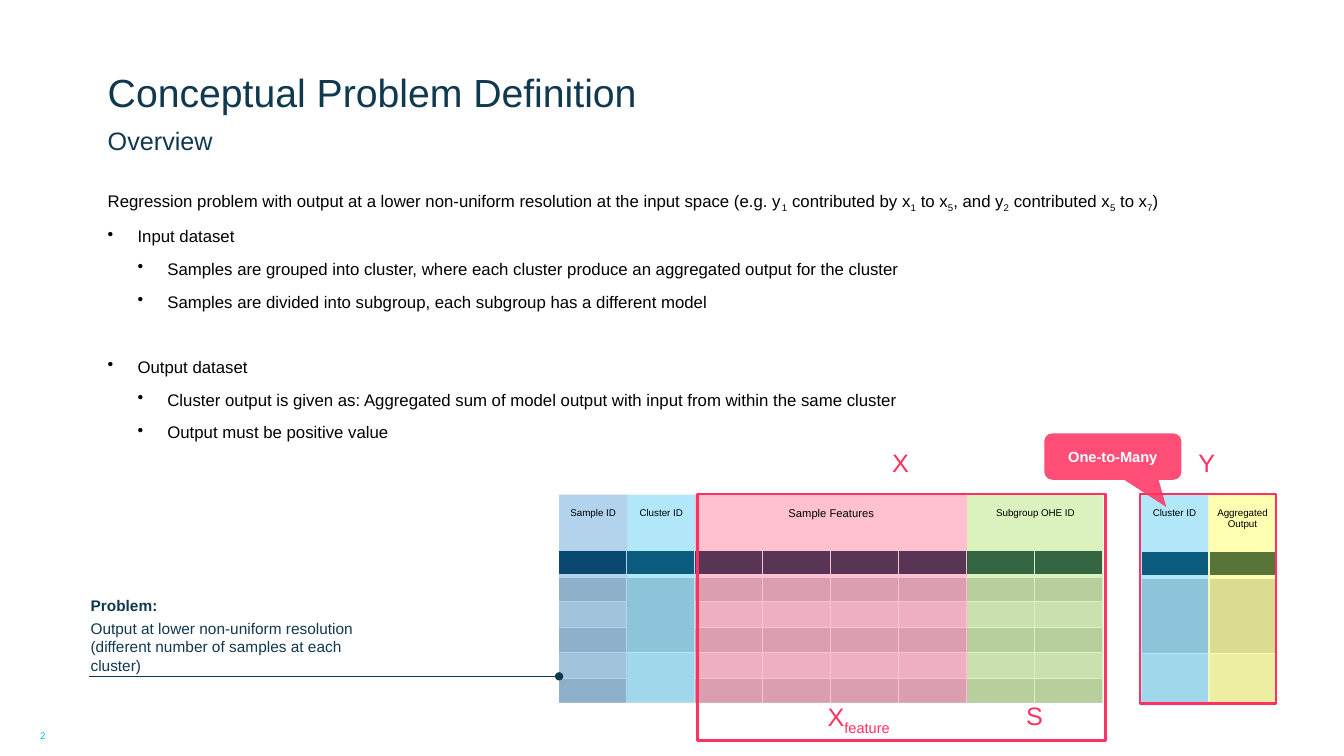
from dataclasses import dataclass

from lxml import etree
from pptx import Presentation
from pptx.dml.color import RGBColor
from pptx.enum import shapes, text
from pptx.oxml import ns
from pptx.util import Pt


@dataclass(frozen=True)
class Theme:
    font: str = "Arial"
    navy: str = "10384F"
    black: str = "000000"
    white: str = "FFFFFF"
    cyan: str = "00BCFF"
    pink: str = "FF3162"
    callout: str = "FE3061"
    blue: str = "0070C0"
    sky: str = "00B0F0"
    green: str = "89D329"
    yellow: str = "FFFF00"
    stripes: tuple = ("CCCED0", "E7E8E9")
    title: float = 28
    heading: float = 18
    body: float = 12
    note: float = 11
    badge: float = 10.5
    feature: float = 8
    small: float = 7


THEME = Theme()
COLUMN = 48.6
ROW = 18.24
BAND_TOP = 353.3
INPUT_LEFT = 399.4
OUTPUT_LEFT = 814.6

BODY = [  # level, space before, text
    (0, 12, "Regression problem with output at a lower non-uniform resolution at the input space "
            "(e.g. y_1_ contributed by x_1_ to x_5_, and y_2_ contributed x_5_ to x_7_)"),
    (1, 3, "Input dataset"),
    (2, 3, "Samples are grouped into cluster, where each cluster produce an aggregated output "
           "for the cluster"),
    (2, 3, "Samples are divided into subgroup, each subgroup has a different model"),
    (1, 26, "Output dataset"),
    (2, 3, "Cluster output is given as: Aggregated sum of model output with input from within "
           "the same cluster"),
    (2, 3, "Output must be positive value"),
]
INPUT_BANDS = [  # label, columns covered, colour, type size
    ("Sample ID", 1, THEME.blue, THEME.small),
    ("Cluster ID", 1, THEME.sky, THEME.small),
    ("Sample Features", 4, THEME.pink, THEME.feature),
    ("Subgroup OHE ID", 2, THEME.green, THEME.small),
]
OUTPUT_BANDS = [
    ("Cluster ID", 1, THEME.sky, THEME.small),
    ("Aggregated\nOutput", 1, THEME.yellow, THEME.small),
]


def rgb(color):
    return RGBColor.from_string(color)


def write(para, content, size, color, bold=False):
    """Fill a paragraph; every second part between underscores is a subscript."""
    for index, part in enumerate(content.split("_")):
        if not part:
            continue
        span = para.add_run()
        span.text = part
        span.font.name = THEME.font
        span.font.size = Pt(size)
        span.font.bold = bold
        span.font.color.rgb = rgb(color)
        if index % 2:
            span.font._element.set("baseline", "-25000")


def set_frame(frame, anchor=text.MSO_ANCHOR.TOP, insets=(0, 0, 0, 0)):
    frame.word_wrap = True
    frame.vertical_anchor = anchor
    (frame.margin_left, frame.margin_top,
     frame.margin_right, frame.margin_bottom) = map(Pt, insets)


def add_text(page, place, content, size, color, anchor=text.MSO_ANCHOR.TOP, align=None):
    box = page.shapes.add_textbox(*map(Pt, place))
    set_frame(box.text_frame, anchor)
    para = box.text_frame.paragraphs[0]
    para.alignment = align
    write(para, content, size, color)


def add_body(page):
    frame = page.shapes.add_textbox(Pt(77), Pt(136), Pt(850), Pt(214)).text_frame
    set_frame(frame)
    for index, (level, before, content) in enumerate(BODY):
        para = frame.add_paragraph() if index else frame.paragraphs[0]
        para.level = level
        para.space_before, para.space_after = Pt(before), Pt(6)
        write(para, content, THEME.body, THEME.black)
        if level:
            settings = para._p.get_or_add_pPr()
            settings.set("marL", str(Pt(21.3 * level)))
            settings.set("indent", str(-Pt(21.3)))
            etree.SubElement(settings, ns.qn("a:buChar")).set("char", "•")


def add_problem(page):
    frame = page.shapes.add_textbox(Pt(56.2), Pt(385.2), Pt(235), Pt(96.5)).text_frame
    set_frame(frame, text.MSO_ANCHOR.BOTTOM, (8.5, 0, 14, 0))
    heading, detail = frame.paragraphs[0], frame.add_paragraph()
    heading.space_before, heading.space_after = Pt(12), Pt(3)
    write(heading, "Problem:", THEME.note, THEME.navy, bold=True)
    write(detail, "Output at lower non-uniform resolution (different number of samples "
                  "at each cluster)", THEME.note, THEME.navy)


def style_cell(cell, fill, bottom):
    """Give a cell its fill and white borders, and keep its empty line low."""
    cell.margin_top = cell.margin_bottom = 0
    cell.fill.solid()
    cell.fill.fore_color.rgb = rgb(fill)
    settings = cell._tc.get_or_add_tcPr()
    for index, (side, width) in enumerate(zip("LRTB", (1, 1, 1, bottom))):
        border = etree.Element(ns.qn("a:ln" + side), w=str(Pt(width)))
        paint = etree.SubElement(border, ns.qn("a:solidFill"))
        etree.SubElement(paint, ns.qn("a:srgbClr")).set("val", THEME.white)
        settings.insert(index, border)
    para = cell.text_frame.paragraphs[0]
    para._p.get_or_add_endParaRPr().set("sz", str(THEME.small * 100))


def add_grid(page, left, top, columns, heights):
    frame = page.shapes.add_table(len(heights), columns, Pt(left), Pt(top),
                                  Pt(columns * COLUMN), Pt(sum(heights)))
    table = frame.table
    for column in table.columns:
        column.width = Pt(COLUMN)
    for index, height in enumerate(heights):
        table.rows[index].height = Pt(height)
        fill = THEME.stripes[(index - 1) % 2] if index else THEME.navy
        for cell in table.rows[index].cells:
            style_cell(cell, fill, 1 if index else 3)
    return table


def add_shape(page, kind, place, fill=None, opacity=100, line=None):
    shape = page.shapes.add_shape(kind, *map(Pt, place))
    shape.shadow.inherit = False
    if fill:
        shape.fill.solid()
        shape.fill.fore_color.rgb = rgb(fill)
        tint = shape._element.spPr.find(ns.qn("a:solidFill"))[0]
        etree.SubElement(tint, ns.qn("a:alpha")).set("val", str(opacity * 1000))
    else:
        shape.fill.background()
    if line:
        shape.line.color.rgb = rgb(line)
        shape.line.width = Pt(2)
    else:
        shape.line.fill.background()
    return shape


def add_bands(page, left, height, bands):
    for label, columns, color, size in bands:
        width = columns * COLUMN
        band = add_shape(page, shapes.MSO_SHAPE.RECTANGLE, (left, BAND_TOP, width, height),
                         color, opacity=30)
        set_frame(band.text_frame, insets=(0, 8.3, 0, 0))
        for index, content in enumerate(label.split("\n")):
            para = band.text_frame.add_paragraph() if index else band.text_frame.paragraphs[0]
            para.alignment = text.PP_ALIGN.CENTER
            write(para, content, size, THEME.black)
        left += width


def add_leader(page):
    leader = page.shapes.add_connector(shapes.MSO_CONNECTOR.STRAIGHT,
                                       Pt(INPUT_LEFT), Pt(483.1), Pt(63.4), Pt(483.1))
    leader.line.color.rgb = rgb(THEME.navy)
    leader.line.width = Pt(0.5)
    etree.SubElement(leader.line._get_or_add_ln(), ns.qn("a:headEnd")).set("type", "oval")
    etree.SubElement(leader._element.spPr, ns.qn("a:effectLst"))


def add_callout(page):
    callout = add_shape(page, shapes.MSO_SHAPE.ROUNDED_RECTANGULAR_CALLOUT,
                        (746, 309.6, 97.9, 33.1), THEME.callout, opacity=85)
    for index, value in enumerate((0.39, 1.09, 0.17)):
        callout.adjustments[index] = value
    set_frame(callout.text_frame, text.MSO_ANCHOR.MIDDLE)
    para = callout.text_frame.paragraphs[0]
    para.alignment = text.PP_ALIGN.CENTER
    write(para, "One-to-Many", THEME.badge, THEME.white, bold=True)


def main():
    deck = Presentation()
    deck.slide_width, deck.slide_height = Pt(960), Pt(540)
    page = deck.slides.add_slide(deck.slide_layouts[6])

    add_text(page, (77, 14.4, 850, 67.7), "Conceptual Problem Definition",
             THEME.title, THEME.navy, text.MSO_ANCHOR.BOTTOM)
    add_text(page, (77, 89.6, 850, 20.2), "Overview", THEME.heading, THEME.navy)
    add_text(page, (15.1, 521.3, 31, 8.6), "2", THEME.small, THEME.cyan,
             align=text.PP_ALIGN.CENTER)
    add_body(page)

    samples = add_grid(page, INPUT_LEFT - 0.4, 393.3, 8, [ROW] * 6)
    for first, last in ((1, 3), (4, 5)):
        samples.cell(first, 1).merge(samples.cell(last, 1))
    add_bands(page, INPUT_LEFT, 148.5, INPUT_BANDS)
    add_shape(page, shapes.MSO_SHAPE.RECTANGLE, (498.2, 352.8, 291.6, 176.4), line=THEME.pink)
    add_leader(page)
    add_problem(page)

    add_grid(page, OUTPUT_LEFT + 0.4, 393.9, 2, [ROW, 3 * ROW, 2 * ROW])
    add_bands(page, OUTPUT_LEFT, 150.5, OUTPUT_BANDS)
    add_shape(page, shapes.MSO_SHAPE.RECTANGLE, (814.3, 352.8, 97.2, 149.8), line=THEME.pink)

    for label, left, top, width in (("X", 637.2, 319.7, 14), ("S", 733, 500.4, 14),
                                    ("X_feature", 591.1, 501.1, 60), ("Y", 856.1, 319.7, 14)):
        add_text(page, (left, top, width, 19.4), label, THEME.heading, THEME.pink)
    add_callout(page)
    deck.save("out.pptx")


if __name__ == "__main__":
    main()
